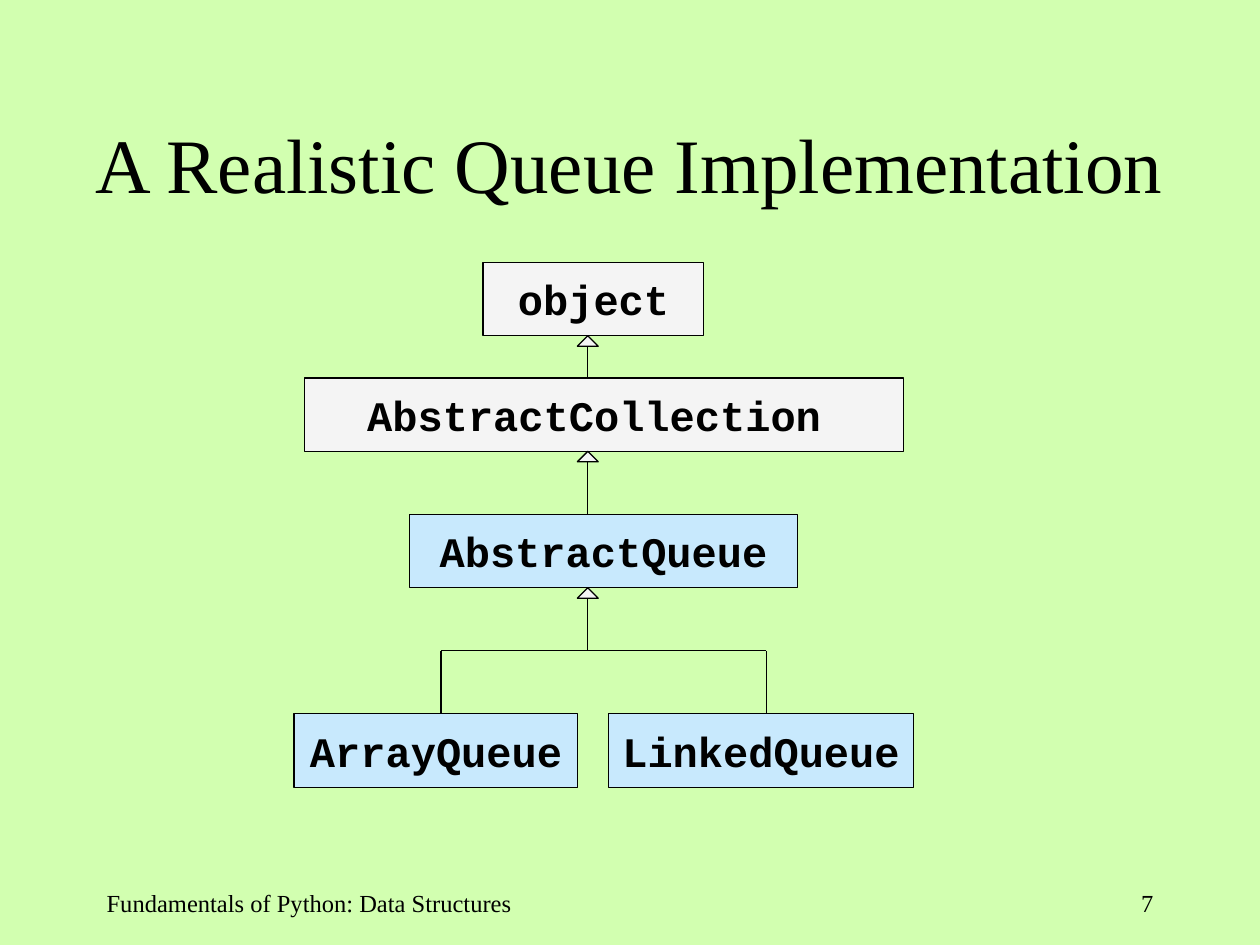
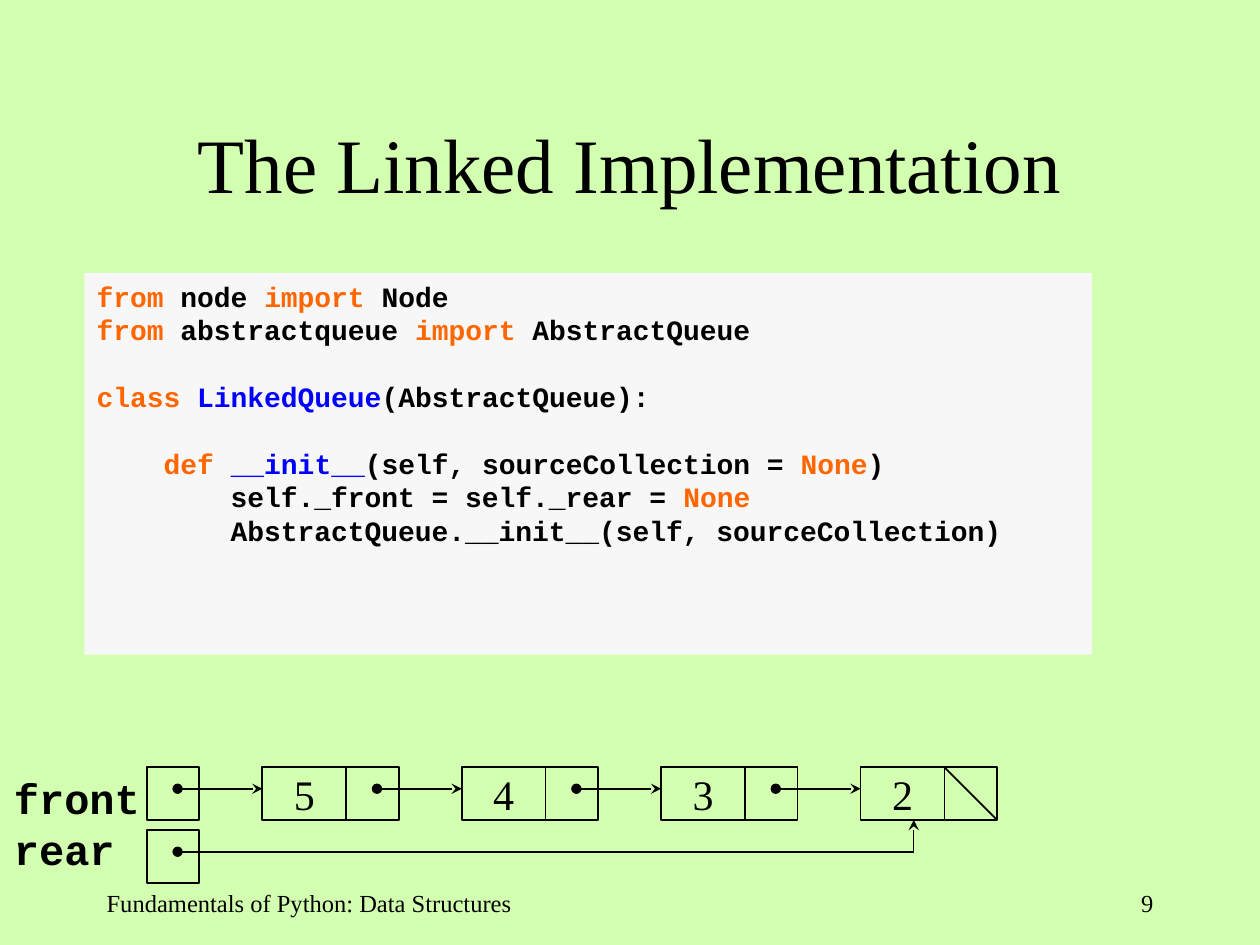
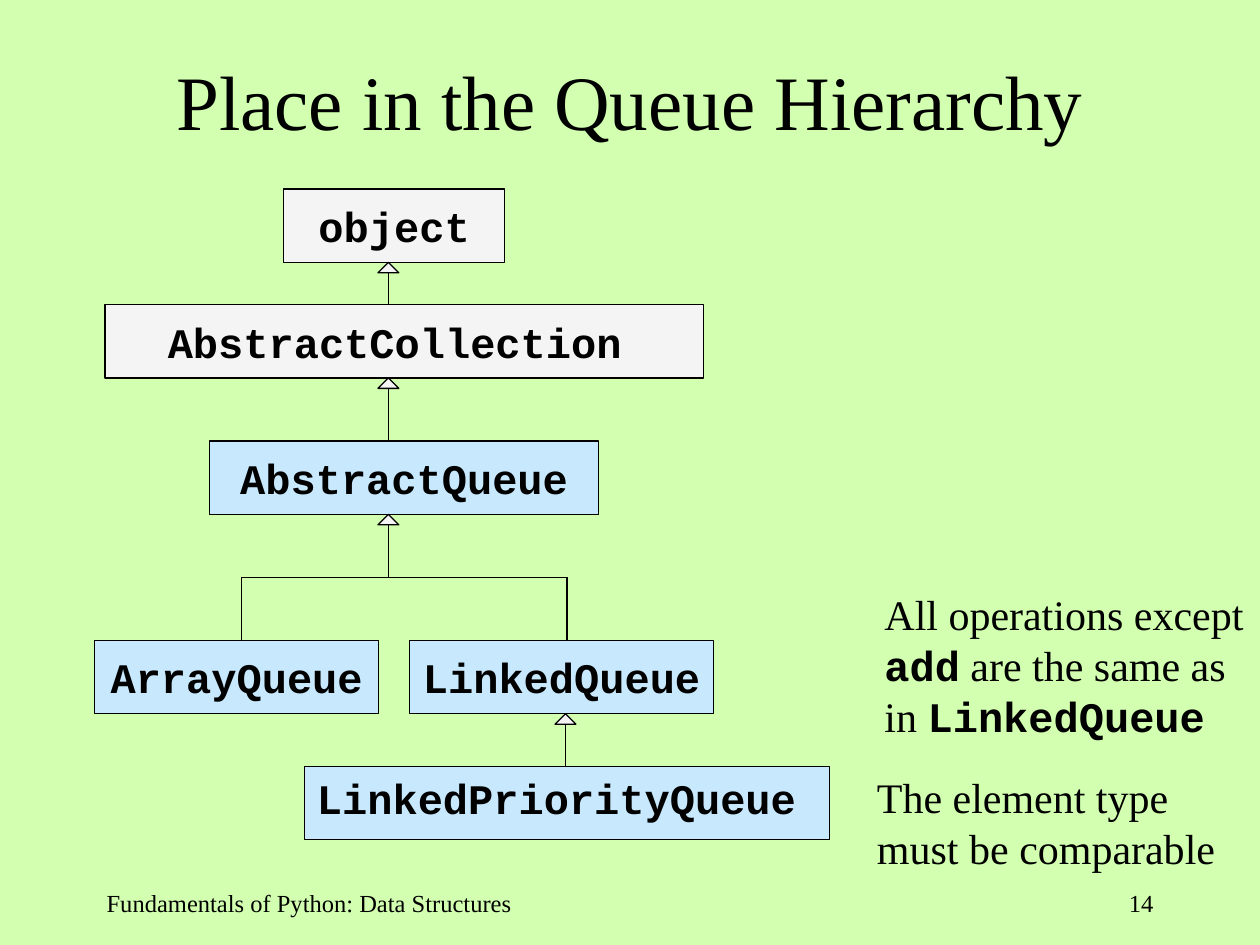
from lxml.etree import SubElement
from pptx import Presentation
from pptx.dml.color import RGBColor
from pptx.enum.shapes import MSO_CONNECTOR, MSO_SHAPE
from pptx.enum.text import MSO_ANCHOR as ANCHOR, PP_ALIGN as ALIGN
from pptx.oxml.ns import qn
from pptx.util import Cm, Pt

COLORS = {
    "background": "D2FFB0",
    "black": "000000",
    "gray": "F4F4F4",
    "blue": "C8E9FD",
    "code": "F7F7F7",
    "keyword": "FF6600",
    "name": "0000FF",
}
SERIF, MONO = "Times New Roman", "Courier New"
STYLES = {
    "title": (SERIF, 44, "black", False),
    "footer": (SERIF, 14, "black", False),
    "body": (SERIF, 24, "black", False),
    "label": (MONO, 24, "black", True),
    "code": (MONO, 16, "black", True),
    "keyword": (MONO, 16, "keyword", True),
    "name": (MONO, 16, "name", True),
}
TEXT_INSETS = (0.25, 0.13, 0.25, 0.13)
NOTE_INSETS = (0.1, 0, 0.1, 0)
THIN, MEDIUM = 0.75, 1


def add_box(slide, bounds, preset=None, fill=None, weight=None, paragraphs=(), align=ALIGN.LEFT,
            anchor=ANCHOR.TOP, wrap=True, insets=TEXT_INSETS, line_height=None):
    lengths = [Cm(value) for value in bounds]
    if preset is None:
        shape = slide.shapes.add_textbox(*lengths)
    else:
        shape = slide.shapes.add_shape(preset, *lengths)
        shape.shadow.inherit = False
        if fill:
            shape.fill.solid()
            shape.fill.fore_color.rgb = RGBColor.from_string(COLORS[fill])
        else:
            shape.fill.background()
        if weight:
            shape.line.color.rgb = RGBColor.from_string(COLORS["black"])
            shape.line.width = Pt(weight)
        else:
            shape.line.fill.background()
    frame = shape.text_frame
    frame.word_wrap = wrap
    frame.vertical_anchor = anchor
    frame.margin_left, frame.margin_top, frame.margin_right, frame.margin_bottom = map(Cm, insets)
    for index, (lines_before, runs) in enumerate(paragraphs):
        paragraph = frame.add_paragraph() if index else frame.paragraphs[0]
        paragraph.alignment = align
        if line_height:
            paragraph.line_spacing = Pt(line_height)
        if lines_before:
            paragraph.space_before = Pt(lines_before * line_height)
        for text, style in runs:
            font_name, size, color, bold = STYLES[style]
            run = paragraph.add_run()
            run.text = text
            run.font.name = font_name
            run.font.size = Pt(size)
            run.font.bold = bold
            run.font.color.rgb = RGBColor.from_string(COLORS[color])


def add_line(slide, start, end, weight=THIN, head=None, tail=None):
    points = [Cm(value) for value in (*start, *end)]
    connector = slide.shapes.add_connector(MSO_CONNECTOR.STRAIGHT, *points)
    connector.line.color.rgb = RGBColor.from_string(COLORS["black"])
    connector.line.width = Pt(weight)
    outline = connector.line._get_or_add_ln()
    for tag, kind in (("a:headEnd", head), ("a:tailEnd", tail)):
        if kind:
            SubElement(outline, qn(tag), type=kind)
    SubElement(connector._element.spPr, qn("a:effectLst"))


presentation = Presentation()
presentation.slide_width = Cm(25.4)
presentation.slide_height = Cm(19.05)

slides = []
for title, number, title_bounds in (
    ("A Realistic Queue Implementation", "7", (1.06, 1.06, 23.28, 4.45)),
    ("The Linked Implementation", "9", (1.9, 1.7, 21.6, 3.18)),
    ("Place in the Queue Hierarchy", "14", (1.06, -0.21, 23.28, 4.45)),
):
    slide = presentation.slides.add_slide(presentation.slide_layouts[6])
    slide.background.fill.solid()
    slide.background.fill.fore_color.rgb = RGBColor.from_string(COLORS["background"])
    add_box(slide, title_bounds, paragraphs=[(0, [(title, "title")])],
            align=ALIGN.CENTER, anchor=ANCHOR.MIDDLE)
    add_box(slide, (1.9, 17.78, 10.37, 1.27),
            paragraphs=[(0, [("Fundamentals of Python: Data Structures", "footer")])])
    add_box(slide, (18.2, 17.78, 5.3, 1.27), paragraphs=[(0, [(number, "footer")])],
            align=ALIGN.RIGHT)
    slides.append(slide)
queue_slide, linked_slide, hierarchy_slide = slides

CLASS_HEIGHT = 1.48
CLASSES = (
    ("object", -2.11, 0, 4.45, "gray", 0),
    ("AbstractCollection", -5.71, 2.33, 12.07, "gray", 0.4),
    ("AbstractQueue", -3.6, 5.08, 7.83, "blue", 0),
    ("ArrayQueue", -5.92, 9.1, 5.72, "blue", 0),
    ("LinkedQueue", 0.42, 9.1, 6.14, "blue", 0),
)
BRANCH_TOP, BRANCH_BOTTOM = 7.83, 9.1
BRANCH_LEFT, BRANCH_RIGHT = -2.96, 3.6
TRIANGLE_WIDTH, TRIANGLE_HEIGHT = 0.42, 0.21

inheritances = []
for slide, stem, top in ((queue_slide, 11.85, 5.29), (hierarchy_slide, 7.83, 3.81)):
    for name, left, offset, width, fill, right_inset in CLASSES:
        add_box(slide, (stem + left, top + offset, width, CLASS_HEIGHT), MSO_SHAPE.RECTANGLE,
                fill, THIN, [(0, [(name, "label")])], ALIGN.CENTER, ANCHOR.MIDDLE, False,
                (0, 0, right_inset, 0))
    for parent_top, child_top in ((0, 2.33), (2.33, 5.08), (5.08, BRANCH_TOP)):
        inheritances.append((slide, stem, top + parent_top + CLASS_HEIGHT, top + child_top))
    left, right = stem + BRANCH_LEFT, stem + BRANCH_RIGHT
    add_line(slide, (left, top + BRANCH_TOP), (right, top + BRANCH_TOP))
    for x in (left, right):
        add_line(slide, (x, top + BRANCH_TOP), (x, top + BRANCH_BOTTOM))

add_box(hierarchy_slide, (6.14, 15.45, 10.58, CLASS_HEIGHT), MSO_SHAPE.RECTANGLE, "blue", THIN,
        [(0, [("LinkedPriorityQueue", "label")])])
inheritances.append((hierarchy_slide, 11.4, 14.39, 15.45))

for slide, x, parent_bottom, child_top in inheritances:
    add_line(slide, (x, child_top), (x, parent_bottom + TRIANGLE_HEIGHT))
    add_box(slide, (x - TRIANGLE_WIDTH / 2, parent_bottom, TRIANGLE_WIDTH, TRIANGLE_HEIGHT),
            MSO_SHAPE.ISOSCELES_TRIANGLE, "gray", THIN)

operations_note = [
    ("All operations except ", "body"), ("add", "label"),
    (" are the same as in ", "body"), ("LinkedQueue", "label"),
]
type_note = [("The element type must be comparable", "body")]
for bounds, runs in (
    ((17.73, 11.86, 7.67, 3.3), operations_note),
    ((17.58, 15.54, 7.42, 3.2), type_note),
):
    add_box(hierarchy_slide, bounds, paragraphs=[(0, runs)], insets=NOTE_INSETS, line_height=29.1)

code_lines = [
    (0, [("from", "keyword"), (" node ", "code"), ("import", "keyword"), (" Node", "code")]),
    (0, [("from", "keyword"), (" abstractqueue ", "code"), ("import", "keyword"),
         (" AbstractQueue", "code")]),
    (1, [("class ", "keyword"), ("LinkedQueue", "name"), ("(AbstractQueue):", "code")]),
    (1, [("    def ", "keyword"), ("__init__", "name"), ("(self, sourceCollection = ", "code"),
         ("None", "keyword"), (")", "code")]),
    (0, [("        self._front = self._rear = ", "code"), ("None", "keyword")]),
    (0, [("        AbstractQueue.__init__(self, sourceCollection)", "code")]),
]
add_box(linked_slide, (1.7, 5.5, 20.32, 7.7), MSO_SHAPE.RECTANGLE, "code",
        paragraphs=code_lines, line_height=19.1)

CELL, VALUE_WIDTH = 1.06, 1.69
NODE_LEFT, NODE_STEP, NODE_TOP = 5.29, 4.02, 15.47
ARROW_LENGTH, ARROW_Y = 1.71, 15.9
REAR_TOP, REAR_Y, REAR_X = 16.74, 17.17, 18.42

add_box(linked_slide, (0.03, 15.44, 3.2, 2.29),
        paragraphs=[(0, [("front", "label")]), (0, [("rear", "label")])], line_height=29.1)
for top in (NODE_TOP, REAR_TOP):
    add_box(linked_slide, (2.96, top, CELL, CELL), MSO_SHAPE.RECTANGLE, weight=MEDIUM)
for index, value in enumerate("5432"):
    left = NODE_LEFT + index * NODE_STEP
    link_left = left + VALUE_WIDTH
    add_box(linked_slide, (link_left, NODE_TOP, CELL, CELL), MSO_SHAPE.RECTANGLE, weight=MEDIUM)
    add_box(linked_slide, (left, NODE_TOP, VALUE_WIDTH, CELL), MSO_SHAPE.RECTANGLE, None, MEDIUM,
            [(0, [(value, "body")])], ALIGN.CENTER, ANCHOR.MIDDLE, False)
    add_line(linked_slide, (left - ARROW_LENGTH, ARROW_Y), (left, ARROW_Y), MEDIUM,
             "oval", "stealth")
add_line(linked_slide, (link_left, NODE_TOP), (link_left + CELL, NODE_TOP + CELL), MEDIUM)
add_line(linked_slide, (3.58, REAR_Y), (REAR_X, REAR_Y), MEDIUM, "oval")
add_line(linked_slide, (REAR_X, REAR_Y), (REAR_X, NODE_TOP + CELL), tail="stealth")

presentation.save("out.pptx")
